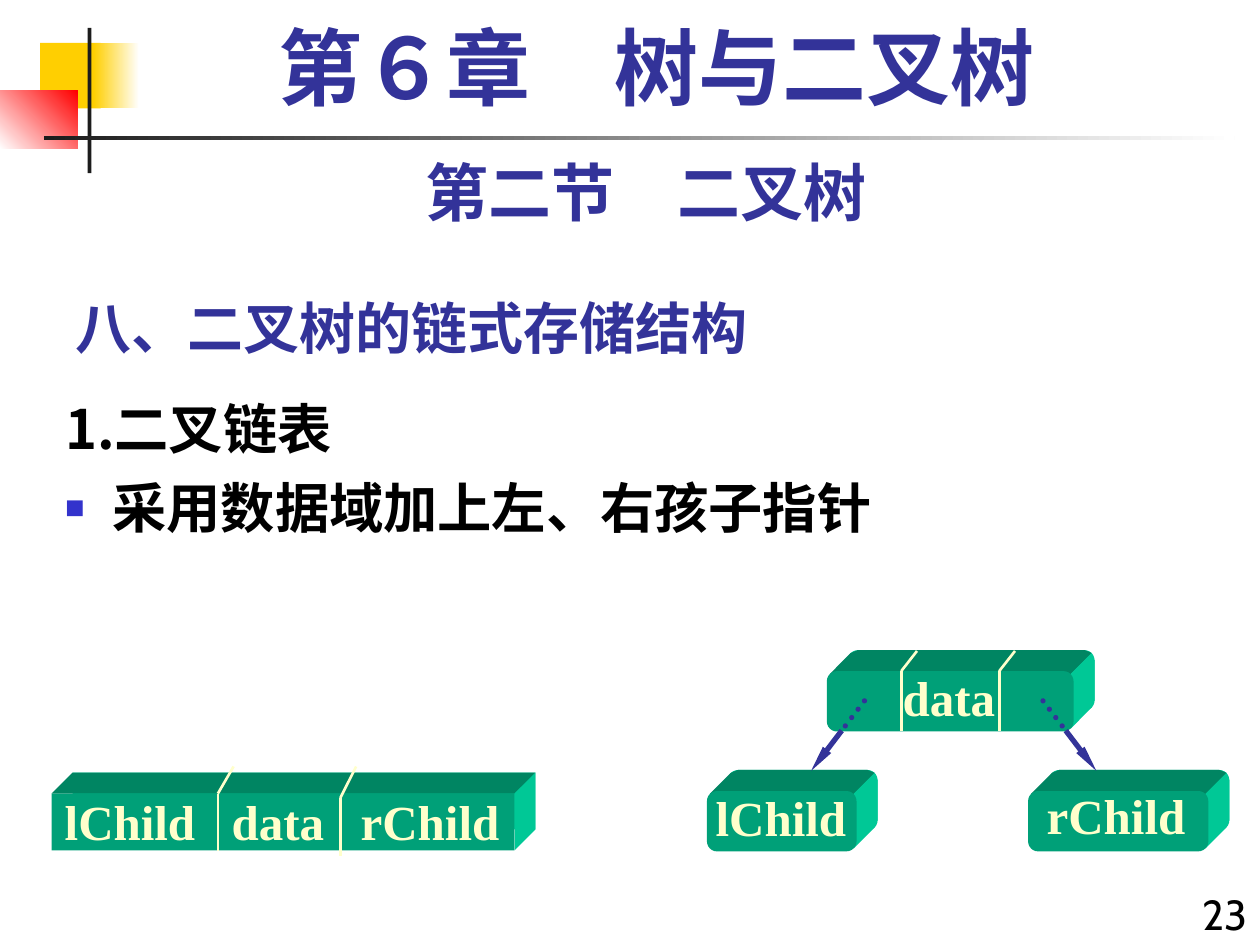
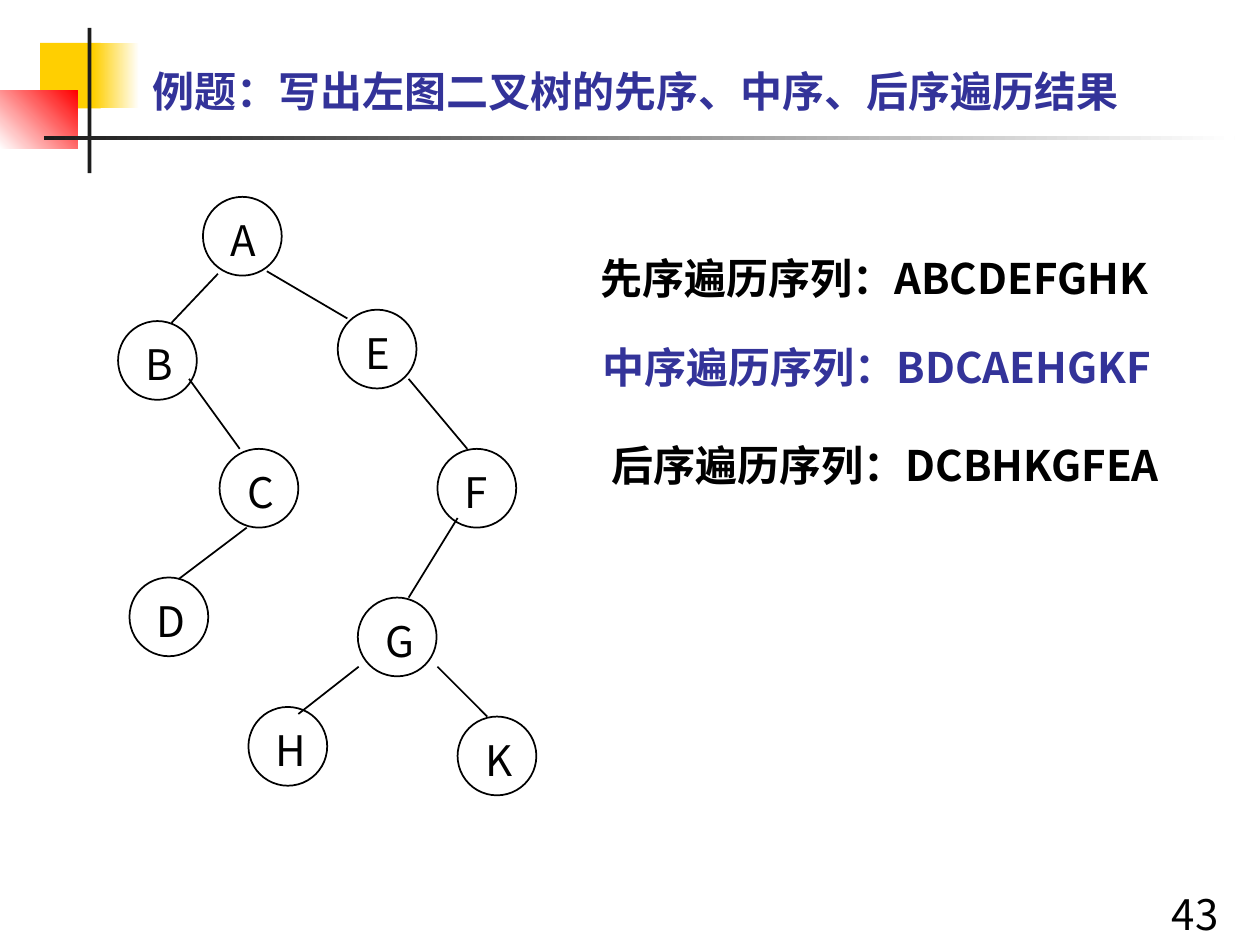
from dataclasses import dataclass

import pptx
import pptx.dml.color
import pptx.enum.dml
import pptx.enum.shapes
import pptx.enum.text
import pptx.oxml
import pptx.oxml.ns
import pptx.util

Pt = pptx.util.Pt
SHAPE = pptx.enum.shapes.MSO_SHAPE
ALIGN = pptx.enum.text.PP_ALIGN
ANCHOR = pptx.enum.text.MSO_ANCHOR


@dataclass(frozen=True)
class Theme:
    heading: str = "333399"
    ink: str = "000000"
    bullet: str = "3333CC"
    white: str = "FFFFFF"
    yellow: str = "FFCF01"
    red: str = "FF0000"
    bar: str = "1C1C1C"
    label: str = "FFFFCC"
    block_front: str = "00A078"
    block_top: str = "008562"
    block_side: str = "00C896"
    sans: str = "Noto Sans CJK SC"
    latin: str = "Cabin"
    serif: str = "Times New Roman"
    chapter_size: int = 48
    section_size: int = 36
    title_size: int = 32
    body_size: int = 31
    block_size: int = 28
    small_size: int = 24


T = Theme()
DEPTH = 12
NODE_SIZE = 45

# Left and top of each node of the tree
NODES = {
    "A": (116, 112.5), "B": (67.5, 183.5), "C": (125.5, 256.5),
    "D": (74, 330), "E": (193, 177), "F": (250, 256.5),
    "G": (204.5, 341.5), "H": (142, 404), "K": (261.5, 409.5),
}
EDGES = [
    (124.5, 156.5, 98, 184.5), (152.5, 155, 198.5, 182),
    (108, 216.5, 137, 256.5), (141, 301.5, 102, 331),
    (233.5, 216.5, 267, 256.5), (261.5, 296, 233.5, 341.5),
    (205, 381, 170.5, 408), (250, 381, 278.5, 409.5),
]


def rgb(value):
    return pptx.dml.color.RGBColor.from_string(value)


def add_xml(parent, tag, content="", **attrs):
    pairs = "".join(f' {name}="{value}"' for name, value in attrs.items())
    ns = pptx.oxml.ns.nsdecls("a")
    parent.append(pptx.oxml.parse_xml(f"<a:{tag} {ns}{pairs}>{content}</a:{tag}>"))


def write(tf, text, font=T.sans, east=None, size=T.small_size, color=T.ink,
          bold=False, align=ALIGN.LEFT, spacing=1.0, before=0, hanging=0,
          bullet=None, new=False):
    """Write one paragraph: the first of the frame, or a further one if new."""
    p = tf.add_paragraph() if new else tf.paragraphs[0]
    pPr = p._p.get_or_add_pPr()
    pPr.set("marL", str(Pt(hanging)))
    pPr.set("indent", str(-Pt(hanging)))
    if bullet:
        add_xml(pPr, "buClr", f'<a:srgbClr val="{T.bullet}"/>')
        add_xml(pPr, "buSzPct", val=60000)
        add_xml(pPr, "buChar", char=bullet)
    else:
        add_xml(pPr, "buNone")
    p.alignment = align
    p.space_before = Pt(before)
    p.line_spacing = spacing
    r = p.add_run()
    r.text = text
    r.font.size = Pt(size)
    r.font.bold = bold
    r.font.color.rgb = rgb(color)
    r.font.name = font
    add_xml(r._r.get_or_add_rPr(), "ea", typeface=east or font)


def set_frame(sp, anchor=ANCHOR.TOP, wrap=True):
    tf = sp.text_frame
    tf.auto_size = pptx.enum.text.MSO_AUTO_SIZE.NONE
    tf.word_wrap = wrap
    tf.vertical_anchor = anchor
    return tf


def add_text(s, x, y, w, h, text, anchor=ANCHOR.TOP, wrap=True, **style):
    sp = s.shapes.add_textbox(Pt(x), Pt(y), Pt(w), Pt(h))
    write(set_frame(sp, anchor, wrap), text, **style)


def place(sp, x, y, w, h, anchor=ANCHOR.TOP):
    """Move a placeholder and return its text frame."""
    sp.left, sp.top, sp.width, sp.height = Pt(x), Pt(y), Pt(w), Pt(h)
    return set_frame(sp, anchor)


def paint(sp, color):
    sp.shadow.inherit = False
    sp.fill.solid()
    sp.fill.fore_color.rgb = rgb(color)
    sp.line.fill.background()


def add_box(s, kind, x, y, w, h, color):
    sp = s.shapes.add_shape(kind, Pt(x), Pt(y), Pt(w), Pt(h))
    paint(sp, color)
    return sp


def add_line(s, x1, y1, x2, y2, color=T.ink, width=1, dotted=False, arrow=False):
    cxn = s.shapes.add_connector(pptx.enum.shapes.MSO_CONNECTOR.STRAIGHT,
                                 Pt(x1), Pt(y1), Pt(x2), Pt(y2))
    cxn.line.color.rgb = rgb(color)
    cxn.line.width = Pt(width)
    ln = cxn.line._get_or_add_ln()
    if dotted:
        cxn.line.dash_style = pptx.enum.dml.MSO_LINE.ROUND_DOT
        ln.set("cap", "rnd")
    if arrow:
        add_xml(ln, "tailEnd", type="triangle", w="sm", len="lg")
    add_xml(cxn._element.spPr, "effectLst")


def add_polygon(s, points, color):
    points = [(Pt(x), Pt(y)) for x, y in points]
    builder = s.shapes.build_freeform(*points[0], scale=1.0)
    builder.add_line_segments(points[1:], close=True)
    paint(builder.convert_to_shape(), color)


def add_block(s, x, y, w, h, rounding=0):
    """Draw a solid bar whose depth runs up and to the right."""
    kind = SHAPE.ROUNDED_RECTANGLE if rounding else SHAPE.RECTANGLE
    radius = rounding * h
    inset = 0.29 * radius
    left, top, right, bottom = x + inset, y + inset, x + w - inset, y + h - inset
    back_x, back_y = x + DEPTH, y - DEPTH
    back = add_box(s, kind, back_x, back_y, w, h, T.block_side)
    add_polygon(s, [(left, top), (left + DEPTH, top - DEPTH),
                    (back_x + radius, back_y), (back_x + w - radius, back_y),
                    (right + DEPTH, top - DEPTH), (right, top)], T.block_top)
    add_polygon(s, [(right, top), (right + DEPTH, top - DEPTH),
                    (back_x + w, back_y + radius), (back_x + w, back_y + h - radius),
                    (right + DEPTH, bottom - DEPTH), (right, bottom)], T.block_side)
    front = add_box(s, kind, x, y, w, h, T.block_front)
    if rounding:
        back.adjustments[0] = front.adjustments[0] = rounding


def add_divider(s, x, bottom, fold, top):
    """Draw a field border up the front of a block and across its top."""
    add_line(s, x, bottom, x, fold, T.label, 1.5)
    add_line(s, x, fold, x + 9, top, T.label, 1.5)


def add_pointer(s, start, edge, end):
    add_line(s, *start, *edge, T.heading, 3, dotted=True)
    add_line(s, *edge, *end, T.heading, 3, arrow=True)


def add_node(s, name, x, y):
    sp = add_box(s, SHAPE.OVAL, x, y, NODE_SIZE, NODE_SIZE, T.white)
    sp.fill.background()
    sp.line.color.rgb = rgb(T.ink)
    sp.line.width = Pt(1)
    add_text(s, x + 8.6, y + 6.5, 27, 37, name, wrap=False)


def add_master_decoration(prs, s):
    """Draw the corner squares and bars, then hand them to the master."""
    parts = [
        (23, 24.5, 34.5, 37.5, T.yellow, None, 0),
        (53.5, 24.5, 26, 37.5, T.yellow, T.white, 0),
        (0, 52, 44.5, 33, T.white, T.red, 45),
        (50, 16, 2.3, 83, T.bar, None, 0),
        (25, 77.8, 680.5, 2.5, T.bar, T.white, 0),
    ]
    for index, (x, y, w, h, color, fade, angle) in enumerate(parts):
        sp = add_box(s, SHAPE.RECTANGLE, x, y, w, h, color)
        if fade:
            sp.fill.gradient()
            sp.fill.gradient_angle = angle
            for stop, value in zip(sp.fill.gradient_stops, (color, fade)):
                stop.color.rgb = rgb(value)
        prs.slide_master.shapes.element.insert(2 + index, sp._element)


def build_storage_slide(s):
    head = dict(color=T.heading, bold=True)
    write(place(s.shapes.title, 36, 156, 450, 54, ANCHOR.BOTTOM),
          "八、二叉树的链式存储结构", size=T.title_size, **head)
    add_text(s, 36, 84, 666, 50.5, "第二节　二叉树",
             font=T.latin, size=T.section_size, align=ALIGN.CENTER, **head)
    tf = place(s.placeholders[1], 30, 222, 690, 318)
    item = dict(size=T.body_size, bold=True, hanging=27)
    write(tf, "1.二叉链表", **item)
    write(tf, "采用数据域加上左、右孩子指针", bullet="■", before=8.4, new=True, **item)
    add_text(s, 48, 12, 654, 60, "第６章　树与二叉树", font=T.serif, east=T.sans,
             size=T.chapter_size, align=ALIGN.CENTER, spacing=0.9, **head)

    for x, y, w in ((472.5, 383.5, 141), (587.5, 452, 103), (404, 452, 85.5)):
        add_block(s, x, y, w, 34.5, rounding=0.167)
    add_block(s, 29.5, 453.5, 264.5, 32.5)
    for x, y, w, text in (
            (508.5, 378, 67.5, "data"), (401.5, 446.5, 89.5, "lChild"),
            (591, 445, 93.5, "rChild"), (29.5, 448.5, 89.5, "lChild"),
            (125, 448.5, 67.5, "data"), (199, 448.5, 93.5, "rChild")):
        add_text(s, x, y, w, 41, text, anchor=ANCHOR.MIDDLE, wrap=False,
                 font=T.serif, size=T.block_size, color=T.label, bold=True,
                 align=ALIGN.CENTER)
    for x in (515, 571):
        add_divider(s, x, 417.5, 383.5, 372)
    add_divider(s, 124.5, 486, 453.5, 438)
    add_divider(s, 194.5, 489, 456, 438)
    add_pointer(s, (494, 400.5), (481, 417.5), (463.5, 440.5))
    add_pointer(s, (596, 400.5), (609, 417.5), (626.5, 440.5))
    add_text(s, 672, 504, 48, 36, "23", font=T.latin, align=ALIGN.RIGHT)


def build_traversal_slide(s):
    add_text(s, 662.5, 504, 57.5, 36, "43")
    write(place(s.shapes.title, 62, 28, 602, 48, ANCHOR.MIDDLE),
          "例题：写出左图二叉树的先序、中序、后序遍历结果",
          color=T.heading, bold=True, align=ALIGN.CENTER)
    for name, (x, y) in NODES.items():
        add_node(s, name, x, y)
    for edge in EDGES:
        add_line(s, *edge)
    for x, y, w, text, color, align in (
            (291.5, 140.5, 416, "先序遍历序列：ABCDEFGHK", T.ink, ALIGN.CENTER),
            (331, 191.5, 340, "中序遍历序列：BDCAEHGKF", T.heading, ALIGN.CENTER),
            (342.5, 247.5, 377.5, "后序遍历序列：DCBHKGFEA", T.ink, ALIGN.LEFT)):
        add_text(s, x, y, w, 36.5, text, color=color, bold=True, align=align)


def main():
    prs = pptx.Presentation()
    prs.slide_width, prs.slide_height = Pt(720), Pt(540)
    s = prs.slides.add_slide(prs.slide_layouts[1])
    add_master_decoration(prs, s)
    build_storage_slide(s)
    build_traversal_slide(prs.slides.add_slide(prs.slide_layouts[5]))
    prs.save("out.pptx")


if __name__ == "__main__":
    main()
